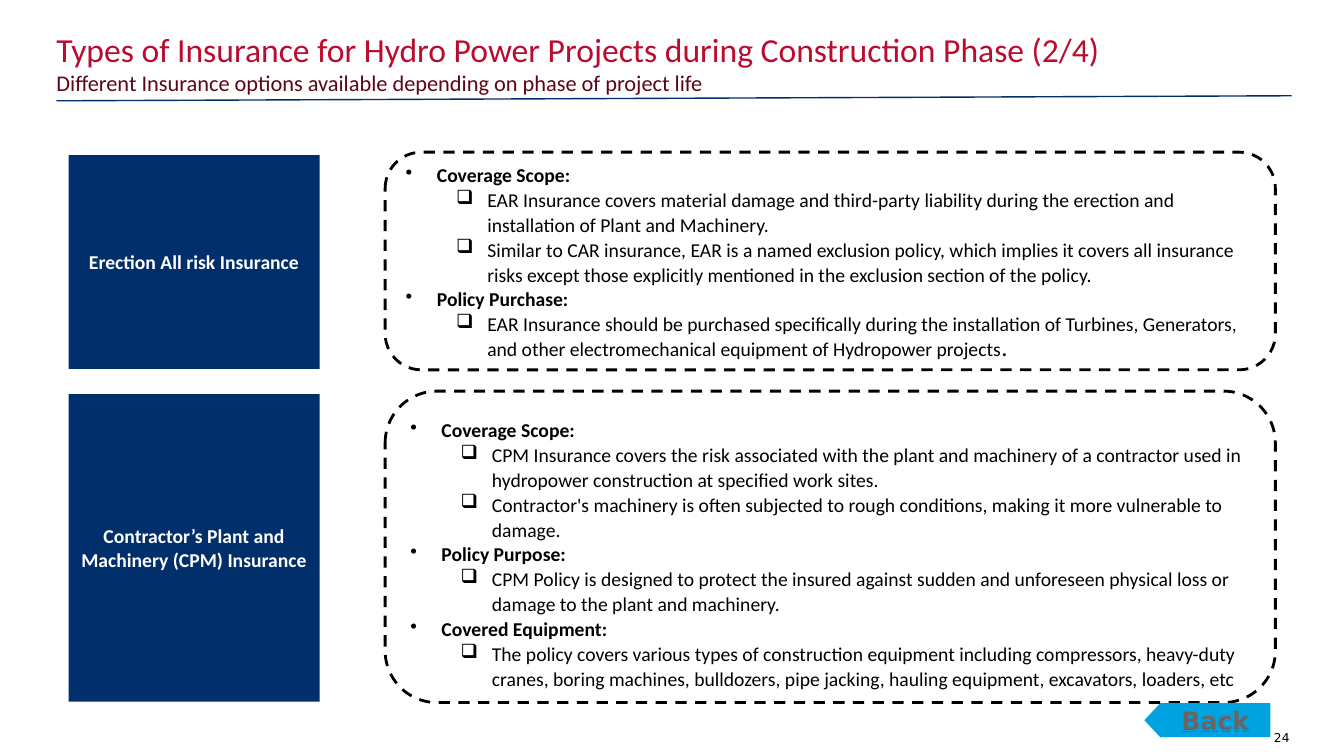
from dataclasses import dataclass

from lxml import etree
from pptx import Presentation
from pptx import util as u
from pptx.dml.color import RGBColor
from pptx.enum import dml, shapes, text
from pptx.oxml import ns

PX = 9144
COLORS = {
    "navy": "002F6C",
    "red": "BA0C2F",
    "maroon": "5D0618",
    "black": "000000",
    "white": "FFFFFF",
    "sky": "00A3E0",
    "grey": "6C6463",
}
MARGINS = ("margin_left", "margin_top", "margin_right", "margin_bottom")
HEAD, ITEM = 0, 1
BULLETS = {HEAD: ("•", 31), ITEM: ("❑", 81)}
HANG = 31
BODY = {"size": u.Pt(14), "name": "Calibri"}


@dataclass
class Label:
    words: str
    box: tuple[int, int, int, int]
    color: str
    font: dict
    insets: tuple[int, int, int, int] = (0, 0, 0, 0)
    align: text.PP_ALIGN = text.PP_ALIGN.LEFT
    after: int = 0


@dataclass
class Policy:
    title: str
    top: int
    height: int
    panel_top: int
    panel_height: int
    anchor: text.MSO_ANCHOR
    points: list[tuple[int, str]]
    ending: str = ""


LABELS = [
    Label("24", (1245, 725, 34, 11), "black",
          {"size": u.Pt(8.7), "name": "DejaVu Sans"}, align=text.PP_ALIGN.RIGHT),
    Label("Different Insurance options available depending on phase of project life",
          (56, 64, 1262, 31), "maroon", {"size": u.Pt(16), "name": "Calibri"},
          insets=(0, 5, 0, 5), after=6),
    Label("Types of Insurance for Hydro Power Projects during Construction Phase (2/4)",
          (56, 29, 1234, 46), "red", {"size": u.Pt(24), "name": "Calibri"}),
]

POLICIES = [
    Policy("Erection All risk Insurance", 154, 212, 151, 216, text.MSO_ANCHOR.MIDDLE, [
        (HEAD, "Coverage Scope:"),
        (ITEM, "EAR Insurance covers material damage and third-party liability during "
               "the erection and installation of Plant and Machinery."),
        (ITEM, "Similar to CAR insurance, EAR is a named exclusion policy, which implies "
               "it covers all insurance risks except those explicitly mentioned in the "
               "exclusion section of the policy."),
        (HEAD, "Policy Purchase:"),
        (ITEM, "EAR Insurance should be purchased specifically during the installation of "
               "Turbines, Generators, and other electromechanical equipment of Hydropower "
               "projects"),
    ], ending="."),
    Policy("Contractor’s Plant and Machinery (CPM) Insurance", 391, 305, 388, 309,
           text.MSO_ANCHOR.TOP, [
        (HEAD, "Coverage Scope:"),
        (ITEM, "CPM Insurance covers the risk associated with the plant and machinery of a "
               "contractor used in hydropower construction at specified work sites."),
        (ITEM, "Contractor's machinery is often subjected to rough conditions, making it "
               "more vulnerable to damage."),
        (HEAD, "Policy Purpose:"),
        (ITEM, "CPM Policy is designed to protect the insured against sudden and unforeseen "
               "physical loss or damage to the plant and machinery."),
        (HEAD, "Covered Equipment:"),
        (ITEM, "The policy covers various types of construction equipment including "
               "compressors, heavy-duty cranes, boring machines, bulldozers, pipe jacking, "
               "hauling equipment, excavators, loaders, etc"),
    ]),
]


def rgb(color: str) -> RGBColor:
    return RGBColor.from_string(COLORS[color])


def emu(*lengths: int) -> list[int]:
    return [n * PX for n in lengths]


def apply(target, values: dict) -> None:
    for name, value in values.items():
        setattr(target, name, value)


def set_frame(tf, insets: tuple[int, int, int, int], anchor: text.MSO_ANCHOR) -> None:
    apply(tf, {"word_wrap": True, "vertical_anchor": anchor,
               **dict(zip(MARGINS, emu(*insets)))})


def add_run(p, words: str, color: str, font: dict) -> None:
    r = p.add_run()
    r.text = words
    apply(r.font, font)
    r.font.color.rgb = rgb(color)


def add_label(s, label: Label) -> None:
    tf = s.shapes.add_textbox(*emu(*label.box)).text_frame
    set_frame(tf, label.insets, text.MSO_ANCHOR.TOP)
    p = tf.paragraphs[0]
    apply(p, {"alignment": label.align, "space_after": u.Pt(label.after)})
    add_run(p, label.words, label.color, label.font)


def add_block(s, kind: shapes.MSO_SHAPE, box: tuple[int, int, int, int], fill: str,
              anchor: text.MSO_ANCHOR = text.MSO_ANCHOR.MIDDLE,
              insets: tuple[int, int, int, int] = (10, 10, 10, 10)):
    sp = s.shapes.add_shape(kind, *emu(*box))
    sp.shadow.inherit = False
    sp.fill.solid()
    sp.fill.fore_color.rgb = rgb(fill)
    sp.line.fill.background()
    set_frame(sp.text_frame, insets, anchor)
    return sp


def add_caption(sp, words: str, color: str, font: dict) -> None:
    p = sp.text_frame.paragraphs[0]
    p.alignment = text.PP_ALIGN.CENTER
    add_run(p, words, color, font)


def add_bullet(p, level: int) -> None:
    char, indent = BULLETS[level]
    pPr = p._p.get_or_add_pPr()
    pPr.set("marL", str(indent * PX))
    pPr.set("indent", str(-HANG * PX))
    etree.SubElement(pPr, ns.qn("a:buChar")).set("char", char)
    apply(p, {"level": level, "alignment": text.PP_ALIGN.LEFT, "line_spacing": 1.06})


def add_policy(s, policy: Policy) -> None:
    tile = add_block(s, shapes.MSO_SHAPE.RECTANGLE,
                     (68, policy.top, 249, policy.height), "navy")
    add_caption(tile, policy.title, "white", {**BODY, "bold": True})

    panel = add_block(s, shapes.MSO_SHAPE.ROUNDED_RECTANGLE,
                      (382, policy.panel_top, 883, policy.panel_height), "white",
                      policy.anchor)
    panel.line.color.rgb = rgb("black")
    apply(panel.line, {"width": u.Pt(2), "dash_style": dml.MSO_LINE.DASH})
    tf = panel.text_frame
    for i, (level, words) in enumerate(policy.points):
        p = tf.add_paragraph() if i else tf.paragraphs[0]
        add_bullet(p, level)
        add_run(p, words, "black", {**BODY, "bold": level == HEAD})
    if policy.ending:
        add_run(p, policy.ending, "black", {**BODY, "bold": True})


def add_rule(s) -> None:
    rule = s.shapes.add_connector(shapes.MSO_CONNECTOR.STRAIGHT, *emu(56, 100, 1281, 95))
    rule.line.color.rgb = rgb("navy")
    rule.line.width = u.Pt(1)
    etree.SubElement(rule._element.spPr, ns.qn("a:effectLst"))


def add_back_button(s) -> None:
    arrow = add_block(s, shapes.MSO_SHAPE.LEFT_ARROW, (1135, 697, 125, 35), "sky",
                      insets=(10, 5, 10, 5))
    for i, value in enumerate((0.965, 0.467)):
        arrow.adjustments[i] = value
    add_caption(arrow, "Back", "grey", {"size": u.Pt(18), "name": "DejaVu Sans",
                                        "bold": True, "underline": True})


def main() -> None:
    prs = Presentation()
    apply(prs, dict(zip(("slide_width", "slide_height"), emu(1333, 750))))
    s = prs.slides.add_slide(prs.slide_layouts[6])
    for label in LABELS:
        add_label(s, label)
    add_rule(s)
    for policy in POLICIES:
        add_policy(s, policy)
    add_back_button(s)
    prs.save("out.pptx")


if __name__ == "__main__":
    main()
